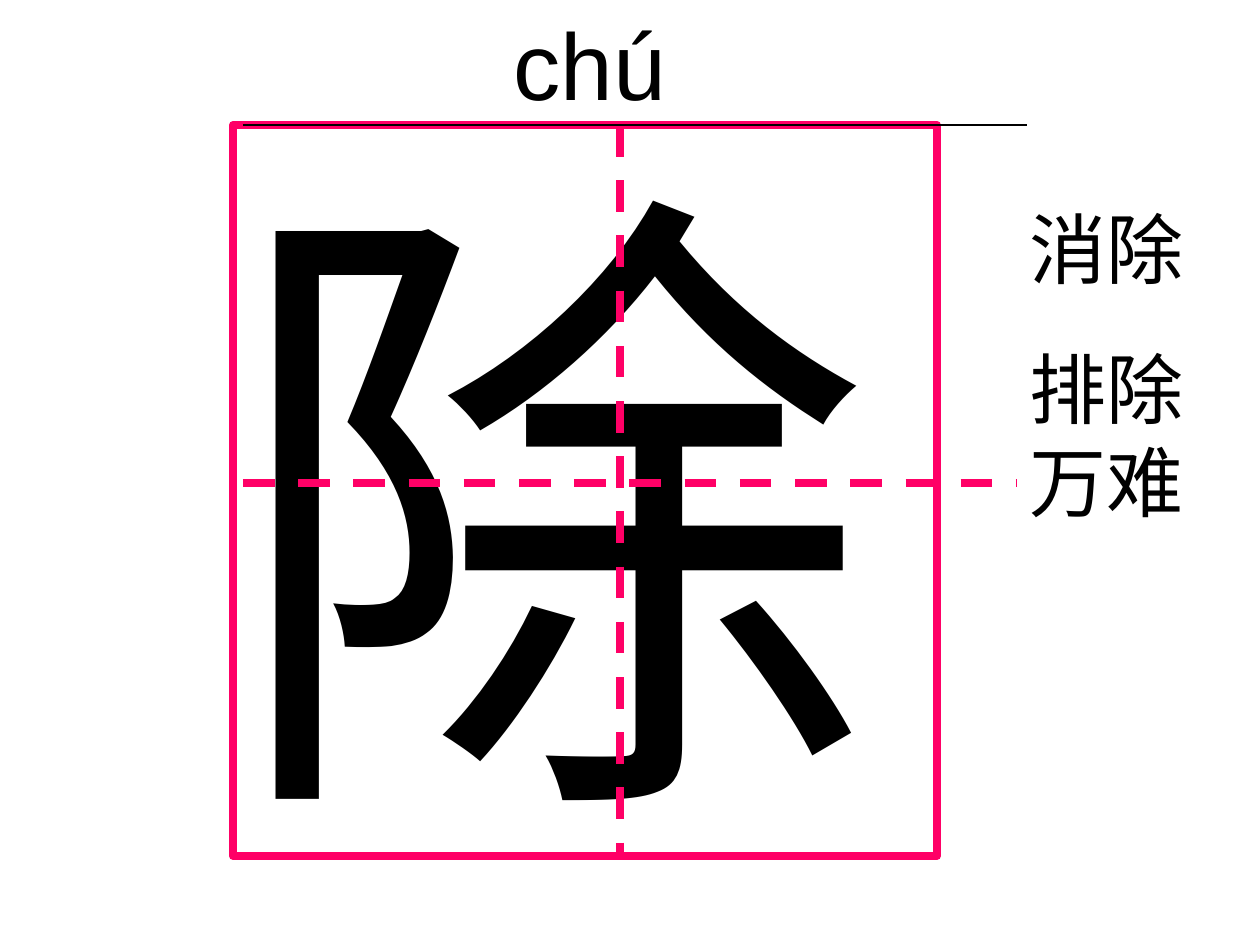
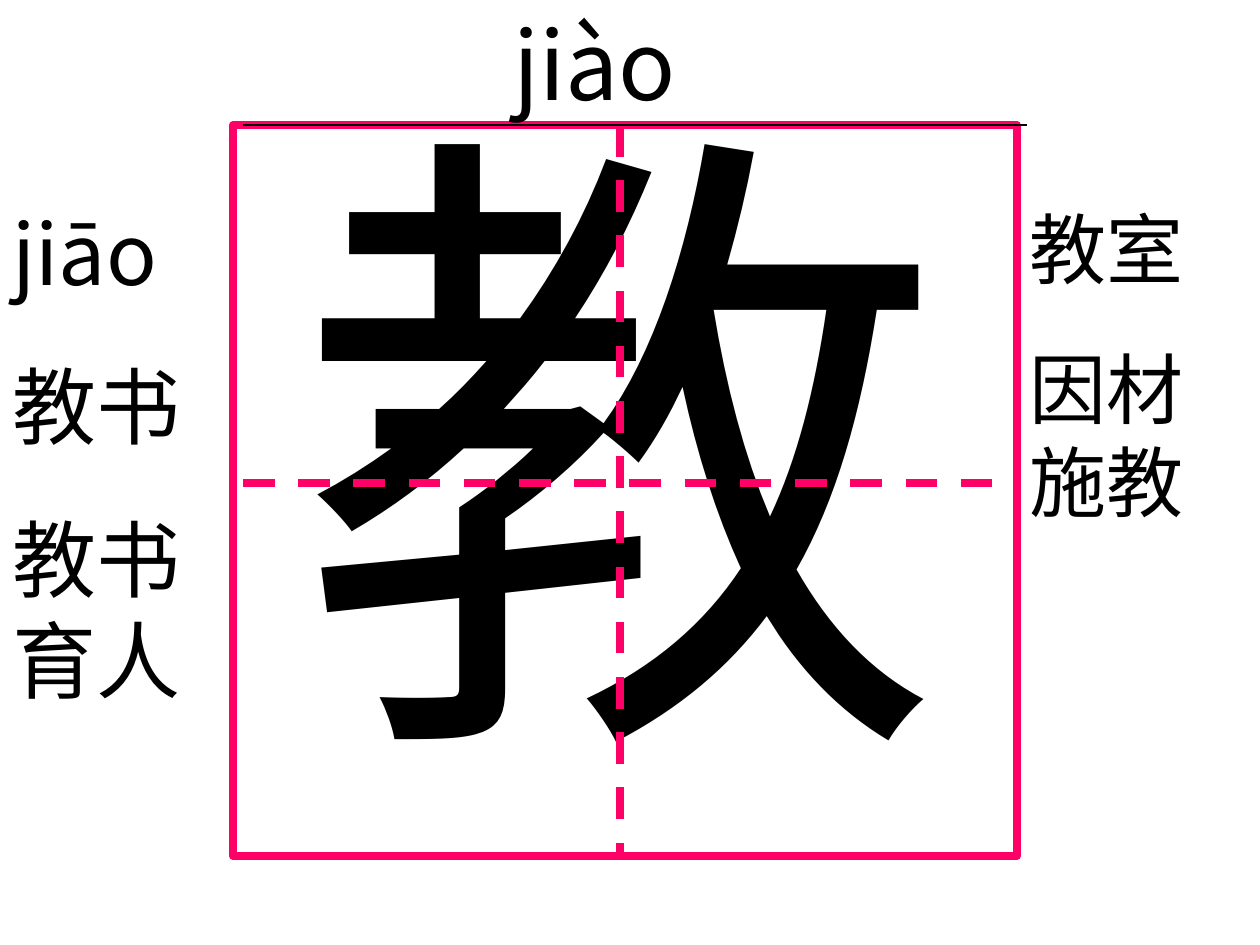
from lxml.etree import SubElement
from pptx import Presentation
from pptx.dml.color import RGBColor
from pptx.enum.dml import MSO_LINE
from pptx.enum.shapes import MSO_CONNECTOR, MSO_SHAPE
from pptx.enum.text import MSO_ANCHOR, MSO_AUTO_SIZE, PP_ALIGN
from pptx.oxml.ns import qn
from pptx.util import Emu, Inches, Pt

COLORS = {"ink": "000000", "grid": "FF0066", "paper": "FFFFFF"}
LATIN, HANZI, SERIF = "Arial", "Noto Sans CJK SC", "Times New Roman"

CARDS = [
    {
        "pinyin": "chú", "pinyin_font": LATIN,
        "character": "除", "character_at": (213, 96), "frame_width": 704,
        "right_words": ["消除", "排除万难"],
        "left_words": [],
    },
    {
        "pinyin": "jiào", "pinyin_font": HANZI,
        "character": "教", "character_at": (284, 35), "frame_width": 784,
        "right_words": ["教室", "因材施教"],
        "left_words": ["jiāo", "教书", "教书育人"],
    },
]

# All lengths below are px, at 126 px to the inch.
CHARACTER_SIZE = (673, 790)
FRAME_LEFT, FRAME_TOP, FRAME_HEIGHT = 233, 125, 731
FRAME_BOTTOM = FRAME_TOP + FRAME_HEIGHT
GUIDES = [
    # start, end, colour, width in points, dash
    ((243, 483), (1017, 483), "grid", 4.5, MSO_LINE.DASH),
    ((620, FRAME_TOP), (620, FRAME_BOTTOM), "grid", 4.5, MSO_LINE.DASH),
    ((243, FRAME_TOP), (1027, FRAME_TOP), "ink", 0.75, MSO_LINE.SOLID),
]
PINYIN_BOX = (501, 0, 486, 126)
RIGHT_BOX = (1017, 195, 213, 479)
LEFT_BOX = (0, 195, 223, 674)
TWO_LISTS_LAYOUT = 3


def px(*lengths):
    return [Emu(round(length * 914400 / 126)) for length in lengths]


def color(name):
    return RGBColor.from_string(COLORS[name])


def style_line(line, color_name, width, dash=MSO_LINE.SOLID):
    line.color.rgb = color(color_name)
    line.width = Pt(width)
    line.dash_style = dash


def write(shape, texts, font_name, size, space_before=0):
    """Fill a shape with plain, left-aligned paragraphs without bullets."""
    frame = shape.text_frame
    frame.vertical_anchor = MSO_ANCHOR.TOP
    frame.auto_size = MSO_AUTO_SIZE.NONE
    for index, text in enumerate(texts):
        paragraph = frame.add_paragraph() if index else frame.paragraphs[0]
        properties = paragraph._p.get_or_add_pPr()
        properties.set("marL", "0")
        properties.set("indent", "0")
        SubElement(properties, qn("a:buNone"))
        paragraph.alignment = PP_ALIGN.LEFT
        paragraph.space_before = Pt(space_before if index else 0)
        run = paragraph.add_run()
        run.text = text
        run.font.name = font_name
        run.font.size = Pt(size)
        run.font.color.rgb = color("ink")


def fill_placeholder(slide, placeholder, box, texts, font_name, size, space_before=0):
    """Place a placeholder in front of the grid, or remove it when it has no text."""
    if not texts:
        slide.shapes._spTree.remove(placeholder._element)
        return
    slide.shapes._spTree.append(placeholder._element)
    placeholder.left, placeholder.top, placeholder.width, placeholder.height = px(*box)
    write(placeholder, texts, font_name, size, space_before)
    placeholder.text_frame.word_wrap = True


def add_character(slide, card):
    box = slide.shapes.add_textbox(*px(*card["character_at"], *CHARACTER_SIZE))
    write(box, [card["character"]], SERIF, 370)
    box.text_frame.word_wrap = False


def add_writing_grid(slide, frame_width):
    frame = slide.shapes.add_shape(
        MSO_SHAPE.RECTANGLE, *px(FRAME_LEFT, FRAME_TOP, frame_width, FRAME_HEIGHT))
    frame.shadow.inherit = False
    frame.fill.background()
    style_line(frame.line, "grid", 4.5)

    group = slide.shapes.add_group_shape()
    for start, end, color_name, width, dash in GUIDES:
        guide = group.shapes.add_connector(MSO_CONNECTOR.STRAIGHT, *px(*start, *end))
        style_line(guide.line, color_name, width, dash)
        SubElement(guide._element.spPr, qn("a:effectLst"))


def add_card(presentation, card):
    slide = presentation.slides.add_slide(presentation.slide_layouts[TWO_LISTS_LAYOUT])
    slide.background.fill.solid()
    slide.background.fill.fore_color.rgb = color("paper")
    title, left_list, right_list = slide.placeholders
    add_character(slide, card)
    add_writing_grid(slide, card["frame_width"])
    fill_placeholder(slide, title, PINYIN_BOX, [card["pinyin"]], card["pinyin_font"], 54)
    fill_placeholder(slide, right_list, RIGHT_BOX, card["right_words"], LATIN, 44, 27.5)
    fill_placeholder(slide, left_list, LEFT_BOX, card["left_words"], HANZI, 48, 30)


def main():
    presentation = Presentation()
    presentation.slide_width, presentation.slide_height = Inches(10), Inches(7.5)
    for card in CARDS:
        add_card(presentation, card)
    presentation.save("out.pptx")


if __name__ == "__main__":
    main()
